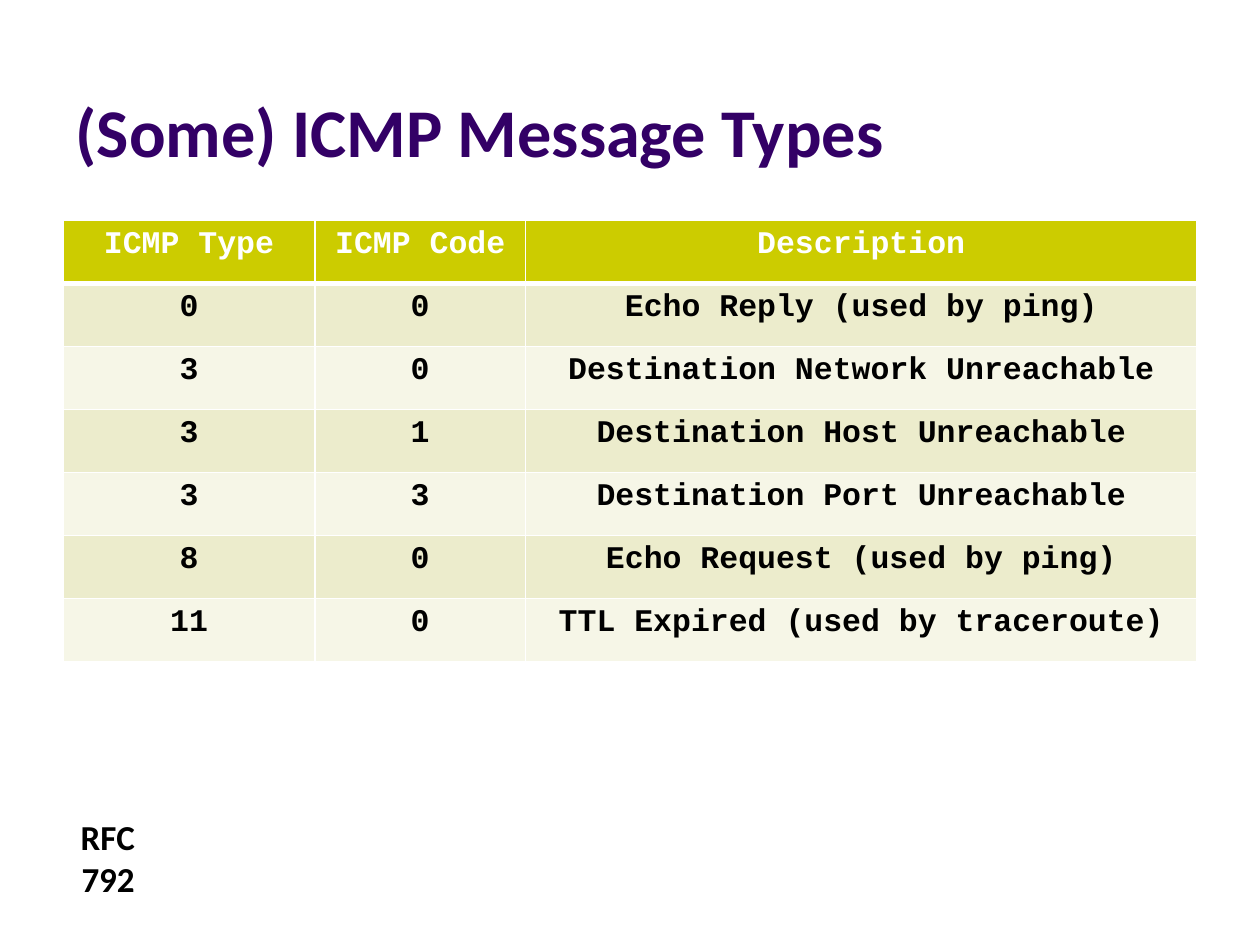
from lxml import etree
from pptx import Presentation
from pptx.dml.color import RGBColor
from pptx.enum.text import MSO_ANCHOR, MSO_AUTO_SIZE, PP_ALIGN
from pptx.oxml.ns import qn
from pptx.util import Inches, Pt

BOTTOM = MSO_ANCHOR.BOTTOM
GROW = MSO_AUTO_SIZE.SHAPE_TO_FIT_TEXT
NO_FIT = MSO_AUTO_SIZE.NONE
LEFT, CENTER, RIGHT = PP_ALIGN.LEFT, PP_ALIGN.CENTER, PP_ALIGN.RIGHT

PURPLE = RGBColor(0x33, 0x00, 0x66)
OLIVE = RGBColor(0xCC, 0xCC, 0x00)
BAND_DARK = RGBColor(0xEC, 0xEC, 0xCC)
BAND_LIGHT = RGBColor(0xF6, 0xF6, 0xE7)
WHITE = RGBColor(0xFF, 0xFF, 0xFF)
BLACK = RGBColor(0x00, 0x00, 0x00)

COL_WIDTHS = [2, 1.67, 5.33]
ROW_HEIGHT = 0.5
MESSAGES = [
    ("ICMP Type", "ICMP Code", "Description"),
    ("0", "0", "Echo Reply (used by ping)"),
    ("3", "0", "Destination Network Unreachable"),
    ("3", "1", "Destination Host Unreachable"),
    ("3", "3", "Destination Port Unreachable"),
    ("8", "0", "Echo Request (used by ping)"),
    ("11", "0", "TTL Expired (used by traceroute)"),
]


def write(tf, text, font, size, color, align):
    p = tf.paragraphs[0]
    p.text = text
    p.alignment = align
    p.font.name = font
    p.font.size = Pt(size)
    p.font.bold = True
    p.font.color.rgb = color


def add_title(slide, text):
    sp = slide.shapes.title
    sp.left, sp.top = Inches(0.5), Inches(0.13)
    sp.width, sp.height = Inches(9), Inches(1.28)
    tf = sp.text_frame
    tf.vertical_anchor = BOTTOM
    tf.auto_size = NO_FIT
    write(tf, text, "Calibri", 39, PURPLE, LEFT)


def set_borders(cell, bottom):
    tc_pr = cell._tc.get_or_add_tcPr()
    for side, width in (("L", 1), ("R", 1), ("T", 1), ("B", bottom)):
        ln = etree.SubElement(tc_pr, qn(f"a:ln{side}"), w=str(Pt(width)))
        fill = etree.SubElement(ln, qn("a:solidFill"))
        etree.SubElement(fill, qn("a:srgbClr"), val=str(WHITE))


def add_message_table(slide):
    frame = slide.shapes.add_table(
        len(MESSAGES), len(COL_WIDTHS), Inches(0.5), Inches(1.75),
        Inches(sum(COL_WIDTHS)), Inches(ROW_HEIGHT * len(MESSAGES)))
    table = frame.table
    for col, width in zip(table.columns, COL_WIDTHS):
        col.width = Inches(width)
    for i, row in enumerate(MESSAGES):
        header = i == 0
        band = BAND_DARK if i % 2 else BAND_LIGHT
        for j, text in enumerate(row):
            cell = table.cell(i, j)
            set_borders(cell, 3 if header else 1)
            cell.fill.solid()
            cell.fill.fore_color.rgb = OLIVE if header else band
            write(cell.text_frame, text, "Courier New", 18,
                  WHITE if header else BLACK, CENTER)


def add_reference(slide, text):
    sp = slide.shapes.add_textbox(
        Inches(0.54), Inches(6.42), Inches(1.03), Inches(0.4))
    tf = sp.text_frame
    tf.word_wrap = True
    tf.auto_size = GROW
    tf.margin_right = Inches(0.5)
    write(tf, text, "Calibri", 20, BLACK, RIGHT)


def main():
    prs = Presentation()
    prs.slide_width, prs.slide_height = Inches(10), Inches(7.5)
    slide = prs.slides.add_slide(prs.slide_layouts[5])
    add_title(slide, "(Some) ICMP Message Types")
    add_message_table(slide)
    add_reference(slide, "RFC 792")
    prs.save("out.pptx")


if __name__ == "__main__":
    main()
